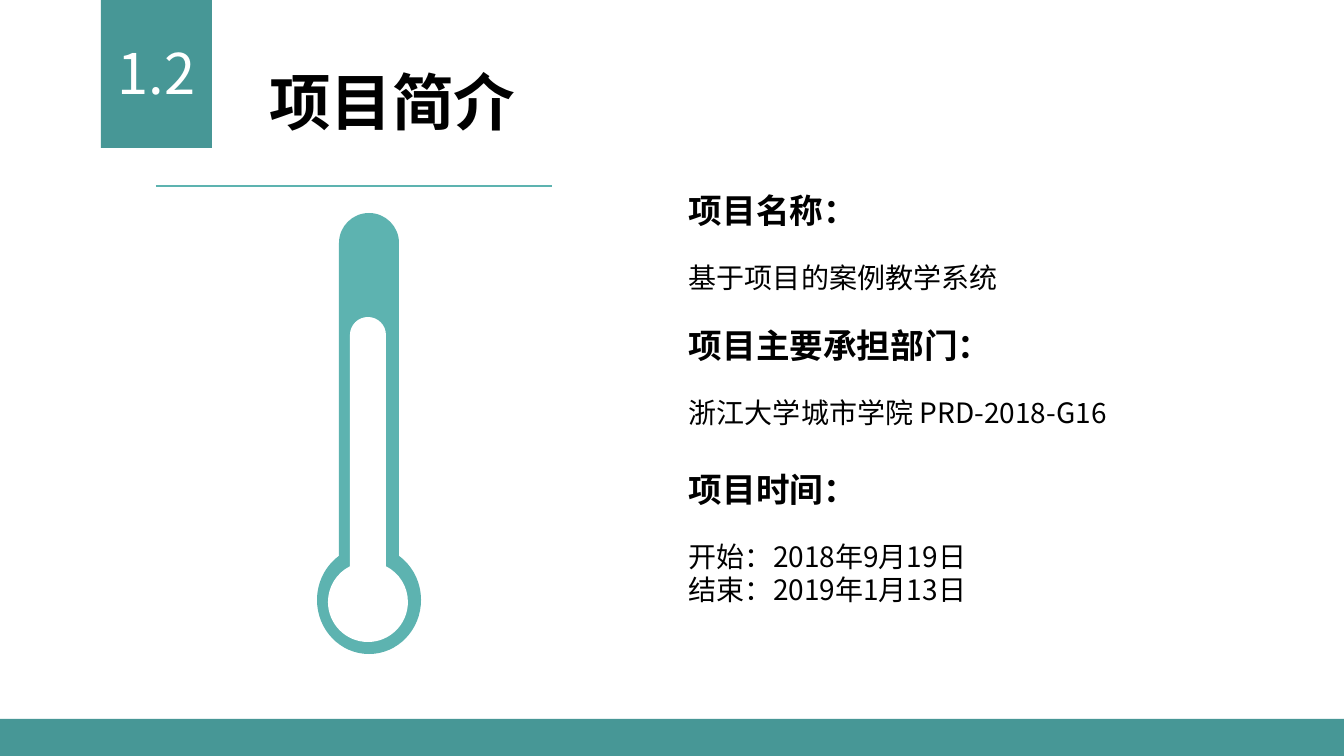
import math

import lxml.etree
import pptx
import pptx.dml.color
import pptx.enum.shapes
import pptx.enum.text
import pptx.oxml.ns
import pptx.util

EMU_PER_PIXEL = 914400 / 100.8
DARK_TEAL, LIGHT_TEAL = "479796", "5DB3B0"
BLACK, WHITE = "000000", "FFFFFF"
HAN_FONT, NUMBER_FONT = "Noto Sans CJK SC", "Noto Sans CJK KR"

# text, size, bold, line height and space before, all in points
DETAILS = [
    ("项目名称：", 24, True, 29, 0),
    ("基于项目的案例教学系统", 20, False, 24, 21.5),
    ("项目主要承担部门：", 24, True, 29, 22),
    ("浙江大学城市学院 PRD-2018-G16", 20, False, 24, 21.5),
    ("项目时间：", 24, True, 29, 28),
    ("开始：2018年9月19日", 20, False, 24, 21.5),
    ("结束：2019年1月13日", 20, False, 24, 0),
]


def px(length):
    """Turn pixels into EMU."""
    return pptx.util.Emu(round(length * EMU_PER_PIXEL))


def color(hex_value):
    """Return the RGB colour of a hex string."""
    return pptx.dml.color.RGBColor.from_string(hex_value)


def paint(shape, fill):
    """Give a shape a plain fill without line or shadow."""
    shape.shadow.inherit = False
    shape.fill.solid()
    shape.fill.fore_color.rgb = color(fill)
    shape.line.fill.background()


def add_block(slide, left, top, width, height, fill):
    """Add a plain rectangle."""
    kind = pptx.enum.shapes.MSO_SHAPE.RECTANGLE
    paint(slide.shapes.add_shape(kind, px(left), px(top), px(width), px(height)), fill)


def add_rule(slide, left, right, y, line_color):
    """Add a thin horizontal line."""
    kind = pptx.enum.shapes.MSO_CONNECTOR.STRAIGHT
    rule = slide.shapes.add_connector(kind, px(left), px(y), px(right), px(y))
    rule.line.color.rgb = color(line_color)
    rule.line.width = pptx.util.Pt(1)
    lxml.etree.SubElement(rule._element.spPr, pptx.oxml.ns.qn("a:effectLst"))


def arc(center_x, center_y, radius_x, radius_y, angles):
    """Return the start of an elliptic arc, then three Bezier points for each step."""
    def point(angle, pull=0.0):
        """Return the point at an angle, moved along its tangent."""
        return (px(center_x + radius_x * (math.cos(angle) - pull * math.sin(angle))),
                px(center_y + radius_y * (math.sin(angle) + pull * math.cos(angle))))

    points = [point(angles[0])]
    for start, end in zip(angles, angles[1:]):
        pull = 4 / 3 * math.tan((end - start) / 4)
        points += [point(start, pull), point(end, -pull), point(end)]
    return points


def curve(shape, first, count):
    """Turn runs of three straight segments into Bezier curves."""
    segments = list(shape._element.iter(pptx.oxml.ns.qn("a:lnTo")))[first:first + 3 * count]
    for index in range(0, len(segments), 3):
        bezier = lxml.etree.Element(pptx.oxml.ns.qn("a:cubicBezTo"))
        segments[index].addprevious(bezier)
        for segment in segments[index:index + 3]:
            bezier.append(segment[0])
            segment.getparent().remove(segment)


def add_thermometer(slide, center_x, top, tube_radius, bulb_y, bulb_width, bulb_height, fill):
    """Add a round-topped tube that runs into a bulb; bulb sizes are radii."""
    quarter = math.pi / 2
    opening = math.asin(tube_radius / bulb_width)
    cap = arc(center_x, top + tube_radius, tube_radius, tube_radius,
              [-math.pi, -quarter, 0])
    bulb = arc(center_x, bulb_y, bulb_width, bulb_height,
               [opening - quarter, 0, quarter, math.pi, 3 * quarter - opening])
    builder = slide.shapes.build_freeform(*cap[0])
    builder.add_line_segments(cap[1:] + bulb, close=True)
    shape = builder.convert_to_shape()
    curve(shape, len(cap), 4)
    curve(shape, 0, 2)
    paint(shape, fill)


def format_paragraph(paragraph, size, font_name, font_color, bold=False):
    """Set the font of a paragraph for Latin and East Asian text."""
    font = paragraph.font
    font.size = pptx.util.Pt(size)
    font.bold = bold
    font.color.rgb = color(font_color)
    font.name = font_name
    east_asian = lxml.etree.SubElement(font._element, pptx.oxml.ns.qn("a:ea"))
    east_asian.set("typeface", font_name)


def set_title(slide, text):
    """Fill, move and format the title placeholder."""
    title = slide.shapes.title
    title.left, title.top, title.width, title.height = px(259), px(59), px(699), px(84)
    title.text_frame.text = text
    title.text_frame.auto_size = pptx.enum.text.MSO_AUTO_SIZE.NONE
    title.text_frame.vertical_anchor = pptx.enum.text.MSO_ANCHOR.MIDDLE
    paragraph = title.text_frame.paragraphs[0]
    paragraph.alignment = pptx.enum.text.PP_ALIGN.LEFT
    format_paragraph(paragraph, 44, HAN_FONT, BLACK, bold=True)


def add_text_frame(slide, left, top, width, height):
    """Add a wrapping text box and return its text frame."""
    box = slide.shapes.add_textbox(px(left), px(top), px(width), px(height))
    box.text_frame.word_wrap = True
    return box.text_frame


def add_section_number(slide, text):
    """Add the centred number on the top block."""
    frame = add_text_frame(slide, 101, 33, 111, 78)
    frame.vertical_anchor = pptx.enum.text.MSO_ANCHOR.MIDDLE
    frame.text = text
    frame.paragraphs[0].alignment = pptx.enum.text.PP_ALIGN.CENTER
    format_paragraph(frame.paragraphs[0], 40, NUMBER_FONT, WHITE)


def add_details(slide):
    """Add the project details as headings and body lines."""
    frame = add_text_frame(slide, 679, 185, 521, 492)
    frame.text = "\n".join(detail[0] for detail in DETAILS)
    for paragraph, (_, size, bold, line_height, gap) in zip(frame.paragraphs, DETAILS):
        paragraph.line_spacing = pptx.util.Pt(line_height)
        paragraph.space_before = pptx.util.Pt(gap)
        format_paragraph(paragraph, size, HAN_FONT, BLACK, bold)


def main():
    """Build the project introduction slide."""
    presentation = pptx.Presentation()
    presentation.slide_width, presentation.slide_height = px(1344), px(756)
    slide = presentation.slides.add_slide(presentation.slide_layouts[5])
    add_block(slide, 101, 0, 111, 148, DARK_TEAL)
    add_section_number(slide, "1.2")
    set_title(slide, "项目简介")
    add_block(slide, 0, 719, 1344, 37, DARK_TEAL)
    add_thermometer(slide, 369, 213, 30, 600, 52, 54, LIGHT_TEAL)
    add_rule(slide, 156, 552, 186, LIGHT_TEAL)
    add_details(slide)
    add_thermometer(slide, 368, 317, 18, 602, 40, 40, WHITE)
    presentation.save("out.pptx")


main()
